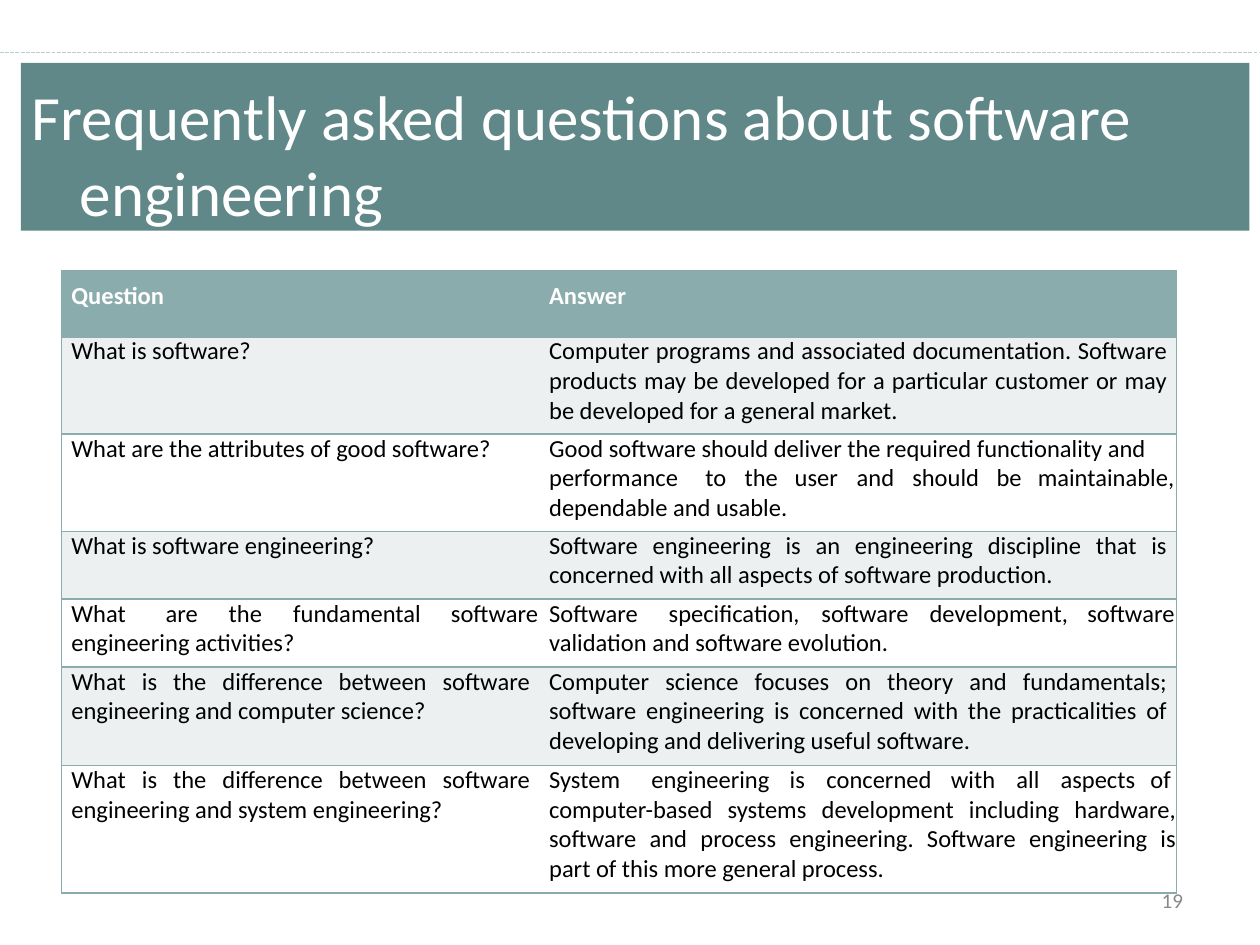
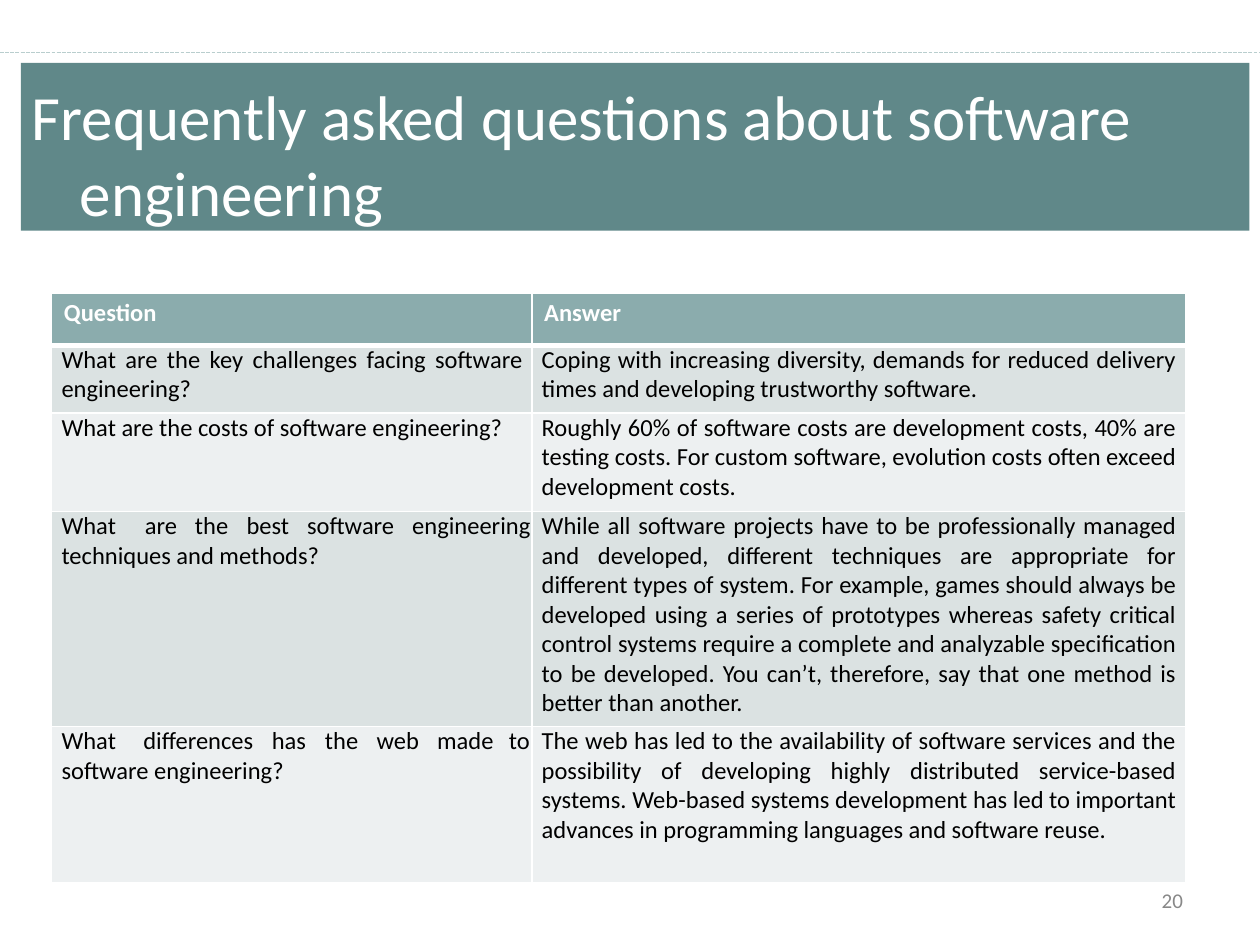
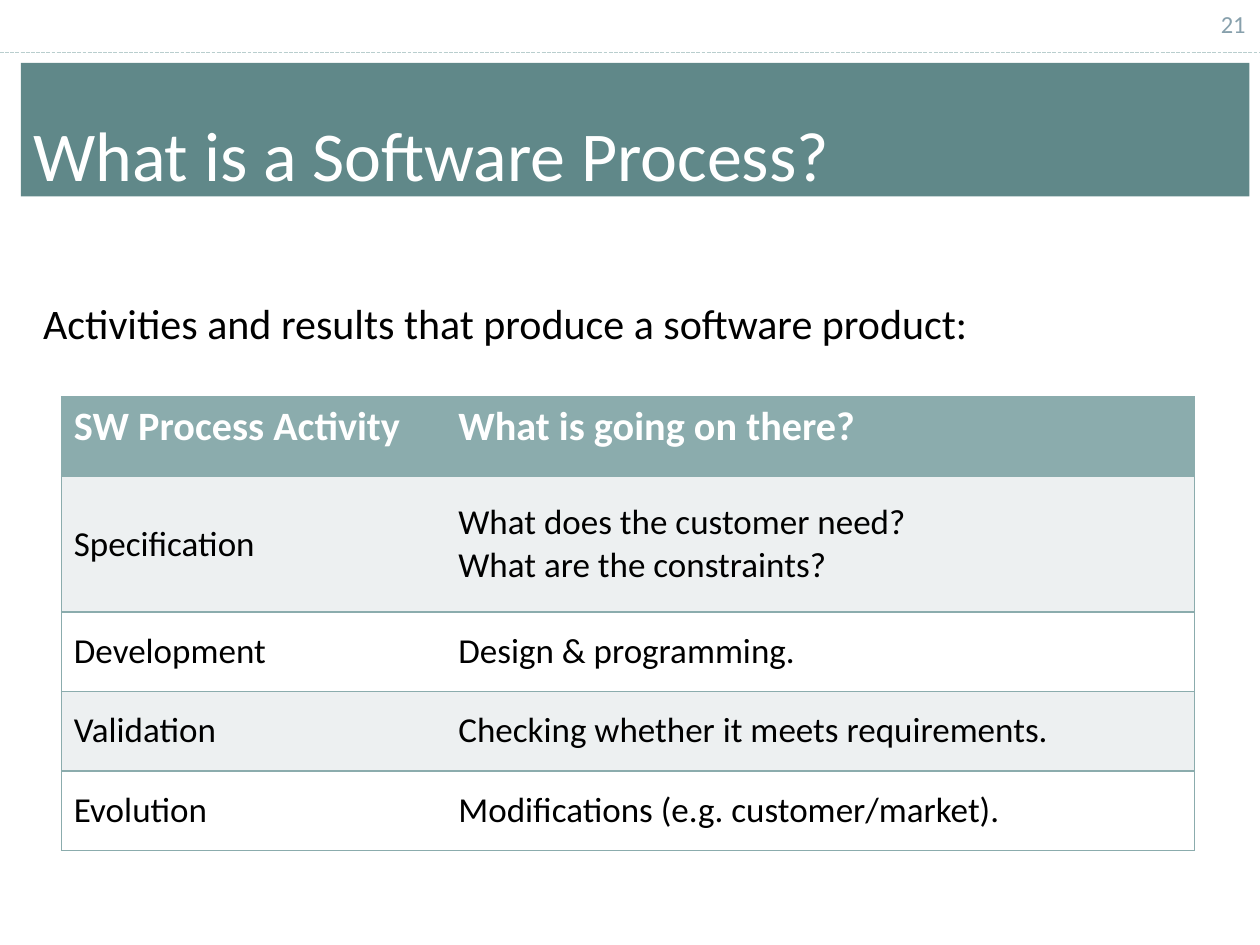
from lxml import etree
from pptx import Presentation, util as u
from pptx.dml.color import RGBColor
from pptx.enum import dml, shapes, text
from pptx.oxml.ns import qn

TEAL, DARK, DASH = "8BACAD", "608889", "B9CECE"
PALE, MIST, WHITE, BLACK = "EDF0F1", "DBE2E2", "FFFFFF", "000000"
FAQ = "Frequently asked questions about software engineering"


def hue(code):
    return RGBColor.from_string(code)


def put(frame, lines, size, color, bold=False):
    frame.word_wrap = True
    frame.text = "\n".join(lines)
    for para in frame.paragraphs:
        para.alignment = text.PP_ALIGN.LEFT
        for run in para.runs:
            run.font.name = "Calibri"
            run.font.size = u.Pt(size)
            run.font.bold = bold
            run.font.color.rgb = hue(color)


tabs = {
    "performance\tto\tthe\tuser\tand\tshould\tbe\tmaintainable,": [3.15, 3.94, 4.95, 6.2, 7.32, 9.02, 9.85],
    "What\tare\tthe\tfundamental\tsoftware": [1.9, 3.17, 4.47, 7.65],
    "Software\tspecification,\tsoftware\tdevelopment,\tsoftware": [2.41, 5.49, 7.67, 10.85],
    "System\tengineering\tis\tconcerned\twith\tall\taspects\tof": [2.06, 4.85, 5.59, 8.1, 9.42, 10.31, 12.12],
    "What\tare\tthe\tbest\tsoftware\tengineering": [1.68, 2.69, 3.73, 4.95, 7.07],
    "What\tdifferences\thas\tthe\tweb\tmade\tto": [1.65, 4.24, 5.31, 6.35, 7.57, 9.02],
}

faq = [
    (["Question"], ["Answer"]),
    (["What is software?"],
     ["Computer programs and associated documentation. Software products may be developed "
      "for a particular customer or may be developed for a general market."]),
    (["What are the attributes of good software?"],
     ["Good software should deliver the required functionality and",
      "performance\tto\tthe\tuser\tand\tshould\tbe\tmaintainable,",
      "dependable and usable."]),
    (["What is software engineering?"],
     ["Software engineering is an engineering discipline that is concerned with all aspects "
      "of software production."]),
    (["What\tare\tthe\tfundamental\tsoftware", "engineering activities?"],
     ["Software\tspecification,\tsoftware\tdevelopment,\tsoftware",
      "validation and software evolution."]),
    (["What is the difference between software engineering and computer science?"],
     ["Computer science focuses on theory and fundamentals; software engineering is concerned "
      "with the practicalities of developing and delivering useful software."]),
    (["What is the difference between software engineering and system engineering?"],
     ["System\tengineering\tis\tconcerned\twith\tall\taspects\tof",
      "computer-based systems development including hardware, software and process engineering. "
      "Software engineering is part of this more general process."]),
]

more = [
    (["Question"], ["Answer"]),
    (["What are the key challenges facing software engineering?"],
     ["Coping with increasing diversity, demands for reduced delivery times and developing "
      "trustworthy software."]),
    (["What are the costs of software engineering?"],
     ["Roughly 60% of software costs are development costs, 40% are testing costs. For custom "
      "software, evolution costs often exceed development costs."]),
    (["What\tare\tthe\tbest\tsoftware\tengineering", "techniques and methods?"],
     ["While all software projects have to be professionally managed and developed, different "
      "techniques are appropriate for different types of system. For example, games should always "
      "be developed using a series of prototypes whereas safety critical control systems require "
      "a complete and analyzable specification to be developed. You can’t, therefore, say that "
      "one method is better than another."]),
    (["What\tdifferences\thas\tthe\tweb\tmade\tto", "software engineering?"],
     ["The web has led to the availability of software services and the possibility of developing "
      "highly distributed service-based systems. Web-based systems development has led to "
      "important advances in programming languages and software reuse."]),
]

steps = [
    (["SW Process Activity"], ["What is going on there?"]),
    (["Specification"], ["What does the customer need?", "What are the constraints?"]),
    (["Development"], ["Design & programming."]),
    (["Validation"], ["Checking whether it meets requirements."]),
    (["Evolution"], ["Modifications (e.g. customer/market)."]),
]

decks = [
    dict(title=FAQ, size=36, high=3.38, pad=0.3, hang=(1.19, -0.97),
         page="19", spot=(23.42, 17.86, 0.51, 0.56), tone="888888", small=12,
         rows=faq, at=(1.24, 5.46), cols=(9.63, 12.85),
         tall=(1.33, 1.96, 1.96, 1.37, 1.37, 1.98, 2.57), top=0.2,
         head=(0.2, 0.2), left=(0.2, 0.2), sizes=(14, 14), boxed=True, mid=False),
    dict(title=FAQ, size=36, high=3.38, pad=0.3, hang=(1.19, -0.97),
         page="20", spot=(23.42, 17.86, 0.51, 0.56), tone="888888", small=12,
         rows=more, at=(1.04, 5.92), cols=(9.68, 13.18),
         tall=(1.04, 1.37, 1.98, 4.34, 3.15), top=0.1,
         head=(0.25, 0.25), left=(0.2, 0.2), sizes=(14, 14), boxed=False, mid=False),
    dict(title="What is a Software Process?", size=40, high=2.69, pad=0.97, hang=(0.25, 0),
         page="21", spot=(24.61, 0.15, 0.58, 0.64), tone="87A0AC", small=14,
         rows=steps, at=(1.24, 8), cols=(7.42, 15.42),
         tall=(1.61, 2.73, 1.6, 1.6, 1.6), top=0.1,
         head=(0.25, 0.58), left=(0.25, 0.58), sizes=(23, 20), boxed=True, mid=True,
         lead="Activities and results that produce a software product:"),
]

prs = Presentation()
prs.slide_width, prs.slide_height = u.Cm(25.4), u.Cm(19.05)

for deck in decks:
    slide = prs.slides.add_slide(prs.slide_layouts[6])

    rule = slide.shapes.add_connector(
        shapes.MSO_CONNECTOR.STRAIGHT, 0, u.Cm(1.06), prs.slide_width, u.Cm(1.06))
    rule.line.color.rgb = hue(DASH)
    rule.line.width = u.Pt(0.75)
    rule.line.dash_style = dml.MSO_LINE.SQUARE_DOT
    etree.SubElement(rule._element.spPr, qn("a:effectLst"))

    band = slide.shapes.add_shape(
        shapes.MSO_SHAPE.RECTANGLE, u.Cm(0.42), u.Cm(1.27), u.Cm(24.77), u.Cm(deck["high"]))
    band.shadow.inherit = False
    band.fill.solid()
    band.fill.fore_color.rgb = hue(DARK)
    band.line.fill.background()
    put(band.text_frame, [deck["title"]], deck["size"], WHITE)
    props = band.text_frame.paragraphs[0]._p.get_or_add_pPr()
    for key, size in zip(("marL", "indent"), deck["hang"]):
        props.set(key, str(u.Cm(size)))

    page = slide.shapes.add_textbox(*map(u.Cm, deck["spot"]))
    put(page.text_frame, [deck["page"]], deck["small"], deck["tone"])
    boxes = [(band, deck["pad"]), (page, 0.03)]
    if "lead" in deck:
        lead = slide.shapes.add_textbox(u.Cm(0.87), u.Cm(5.97), u.Cm(19.46), u.Cm(1.07))
        put(lead.text_frame, [deck["lead"]], 24, BLACK)
        boxes.append((lead, 0.03))
    for box, pad in boxes:
        frame = box.text_frame
        frame.vertical_anchor = text.MSO_ANCHOR.TOP
        frame.margin_left = frame.margin_right = frame.margin_bottom = 0
        frame.margin_top = u.Cm(pad)
    page.text_frame.word_wrap = False

    rows, cols, boxed = deck["rows"], deck["cols"], deck["boxed"]
    grid = slide.shapes.add_table(
        len(rows), len(cols), *map(u.Cm, (*deck["at"], sum(cols), sum(deck["tall"])))).table
    for col, wide in zip(grid.columns, cols):
        col.width = u.Cm(wide)
    for row, tall in zip(grid.rows, deck["tall"]):
        row.height = u.Cm(tall)

    for r, row in enumerate(rows):
        for c, lines in enumerate(row):
            cell = grid.cell(r, c)
            first = r == 0
            put(cell.text_frame, lines, deck["sizes"][0 if first else 1],
                WHITE if first else BLACK, first)
            cell.margin_left = u.Cm(deck["head" if first else "left"][c])
            cell.margin_top = u.Cm(deck["top"] if first else 0)
            cell.margin_right = u.Cm(0 if any(line in tabs for line in lines) else 0.18)
            cell.margin_bottom = 0
            if deck["mid"] and not first:
                cell.vertical_anchor = text.MSO_ANCHOR.MIDDLE

            if not first:
                for para in cell.text_frame.paragraphs:
                    para.line_spacing = u.Pt(round(deck["sizes"][1] * 1.21, 1))
                    if para.text not in tabs:
                        para.alignment = text.PP_ALIGN.JUSTIFY
                        continue
                    stops = etree.SubElement(para._p.get_or_add_pPr(), qn("a:tabLst"))
                    for stop in tabs[para.text]:
                        etree.SubElement(stops, qn("a:tab"), pos=str(u.Cm(stop)), algn="l")

            odd = r % 2 == 1
            if boxed and not first and not odd:
                cell.fill.background()
            else:
                cell.fill.solid()
                tint = PALE if boxed or not odd else MIST
                cell.fill.fore_color.rgb = hue(TEAL if first else tint)

            shown = dict(L=c == 0, R=c == 1, T=True, B=True)
            props = cell._tc.get_or_add_tcPr()
            for spot, side in enumerate("LRTB"):
                thick = not boxed and (side, r) in (("B", 0), ("T", 1))
                edge = etree.Element(qn("a:ln" + side), w=str(u.Pt(3 if thick else 1)))
                if boxed and not shown[side]:
                    etree.SubElement(edge, qn("a:noFill"))
                else:
                    fill = etree.SubElement(edge, qn("a:solidFill"))
                    etree.SubElement(fill, qn("a:srgbClr"), val=TEAL if boxed else WHITE)
                props.insert(spot, edge)

prs.save("out.pptx")
